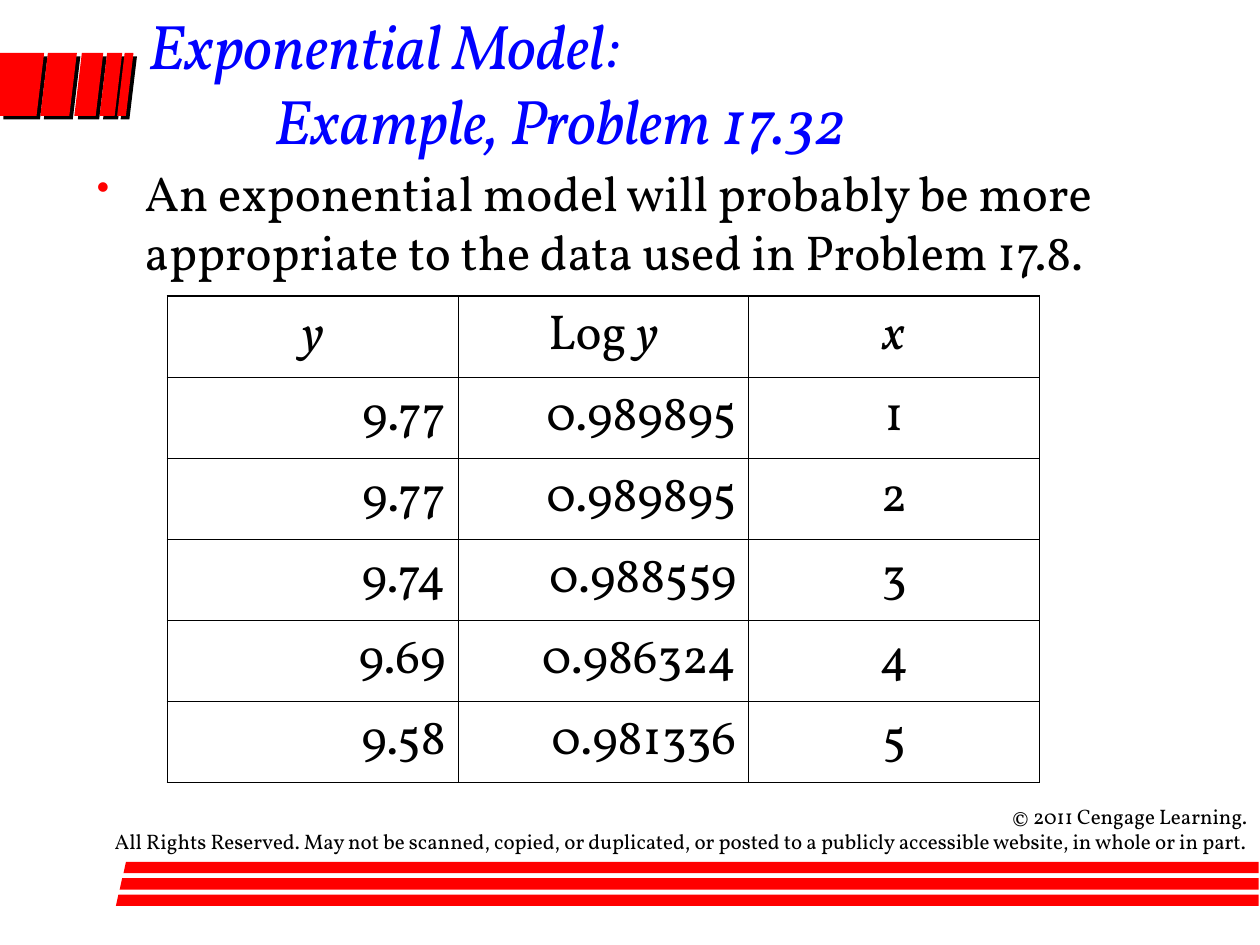
import dataclasses
import typing

import lxml.etree
import pptx
import pptx.dml.color
import pptx.enum.text
import pptx.oxml.ns
import pptx.util

COLUMNS, ROWS = 100, 75
ALIGN = pptx.enum.text.PP_ALIGN


@dataclasses.dataclass(frozen=True)
class Theme:
    font: str = "Vollkorn"
    accent: str = "FF0000"
    heading: str = "0000FF"
    ink: str = "000000"
    title_size: float = 36
    body_size: float = 28
    notice_size: float = 12
    outer_line: float = 1.08
    inner_line: float = 0.45
    shadow_offset: float = 2.8


class Box(typing.NamedTuple):
    left: float
    top: float
    width: float
    height: float


THEME = Theme()
WIDTH, HEIGHT = pptx.util.Inches(10), pptx.util.Inches(7.5)


def column(count):
    return round(WIDTH * count / COLUMNS)


def row(count):
    return round(HEIGHT * count / ROWS)


def place(box):
    return column(box.left), row(box.top), column(box.width), row(box.height)


def color(value):
    return pptx.dml.color.RGBColor.from_string(value)


def add_element(parent, tag, **attributes):
    element = lxml.etree.SubElement(parent, pptx.oxml.ns.qn(tag))
    for key, value in attributes.items():
        element.set(key, str(value))
    return element


def style(para, size, ink=THEME.ink, italic=False, align=ALIGN.LEFT):
    para.alignment = align
    para.font.name = THEME.font
    para.font.size = pptx.util.Pt(size)
    para.font.italic = italic
    para.font.color.rgb = color(ink)


def add_text_box(page, box):
    frame = page.shapes.add_textbox(*place(box)).text_frame
    frame.word_wrap = True
    return frame


def add_outline(page, points):
    corners = [(column(across), row(down)) for across, down in points]
    builder = page.shapes.build_freeform(*corners[0], scale=1)
    builder.add_line_segments(corners[1:], close=True)
    shape = builder.convert_to_shape()
    shape.shadow.inherit = False
    shape.fill.solid()
    shape.fill.fore_color.rgb = color(THEME.accent)
    shape.line.fill.background()
    return shape


def add_shadow(shape):
    effects = shape.element.spPr.find(pptx.oxml.ns.qn("a:effectLst"))
    shadow = add_element(effects, "a:outerShdw", blurRad=0,
                         dist=pptx.util.Pt(THEME.shadow_offset),
                         dir=45 * 60000, algn="ctr", rotWithShape=0)
    add_element(shadow, "a:srgbClr", val=THEME.ink)


def add_corner_bars(page, box):
    lean = 0.6
    bottom = box.top + box.height
    for start, end in [(0, 3.5), (3.8, 6.1), (6.5, 8.2), (8.5, 9.7), (9.9, 10.6)]:
        left, right = box.left + start, box.left + end
        bar = add_outline(page, [(left, box.top), (right, box.top),
                                 (right - lean, bottom),
                                 (max(box.left, left - lean), bottom)])
        add_shadow(bar)


def add_footer_stripes(page, box, count=3):
    thickness, step, lean = 0.9, 0.3, 0.2
    pitch = (box.height - thickness) / (count - 1)
    right = box.left + box.width
    for index in range(count):
        top = box.top + index * pitch
        left = box.left + (count - 1 - index) * step
        add_outline(page, [(left, top + thickness), (right, top + thickness),
                           (right, top), (left + lean, top)])


def add_title(page, box):
    para = add_text_box(page, box).paragraphs[0]
    para.text = "Exponential Model:\v\tExample, Problem 17.32"
    tabs = add_element(para._p.get_or_add_pPr(), "a:tabLst")
    add_element(tabs, "a:tab", pos=column(10), algn="l")
    style(para, THEME.title_size, THEME.heading, italic=True)


def add_body(page, box):
    para = add_text_box(page, box).paragraphs[0]
    para.text = ("An exponential model will probably be more appropriate "
                 "to the data used in Problem 17.8.")
    properties = para._p.get_or_add_pPr()
    properties.set("marL", str(column(3.8)))
    properties.set("indent", str(-column(3.8)))
    tint = add_element(properties, "a:buClr")
    add_element(tint, "a:srgbClr", val=THEME.accent)
    add_element(properties, "a:buSzPct", val=75000)
    add_element(properties, "a:buChar", char="•")
    style(para, THEME.body_size)


def add_borders(cell, outer_sides):
    properties = cell._tc.get_or_add_tcPr()
    for side in "LRTB":
        weight = THEME.outer_line if side in outer_sides else THEME.inner_line
        line = add_element(properties, f"a:ln{side}", w=pptx.util.Pt(weight))
        fill = add_element(line, "a:solidFill")
        add_element(fill, "a:srgbClr", val=THEME.ink)


def fill_cell(cell, spans, align):
    para = cell.text_frame.paragraphs[0]
    for text, italic in spans:
        span = para.add_run()
        span.text = text
        span.font.italic = italic
    style(para, THEME.body_size, align=align)


def add_data_table(page, box):
    headings = [[("y", True)], [("Log ", False), ("y", True)], [("x", True)]]
    records = [("9.77", "0.989895", "1"), ("9.77", "0.989895", "2"),
               ("9.74", "0.988559", "3"), ("9.69", "0.986324", "4"),
               ("9.58", "0.981336", "5")]
    lines = [headings] + [[[(value, False)] for value in record] for record in records]
    last_line, last_field = len(lines) - 1, len(headings) - 1
    table = page.shapes.add_table(len(lines), len(headings), *place(box)).table
    table.first_row = table.horz_banding = False
    for line_index, line in enumerate(lines):
        for field_index, spans in enumerate(line):
            cell = table.cell(line_index, field_index)
            centred = line_index == 0 or field_index == last_field
            fill_cell(cell, spans, ALIGN.CENTER if centred else ALIGN.RIGHT)
            edges = {"L": field_index == 0, "R": field_index == last_field,
                     "T": line_index == 0, "B": line_index == last_line}
            add_borders(cell, [side for side, outer in edges.items() if outer])
            cell.fill.background()


def add_notice(page, box):
    frame = add_text_box(page, box)
    frame.text = ("© 2011 Cengage Learning.\n"
                  "All Rights Reserved. May not be scanned, copied, or duplicated, "
                  "or posted to a publicly accessible website, in whole or in part.")
    for para in frame.paragraphs:
        style(para, THEME.notice_size, align=ALIGN.RIGHT)


def main():
    deck = pptx.Presentation()
    deck.slide_width, deck.slide_height = WIDTH, HEIGHT
    page = deck.slides.add_slide(deck.slide_layouts[6])
    add_corner_bars(page, Box(0, 4.2, 10.6, 5))
    add_footer_stripes(page, Box(9.2, 68.4, 90.7, 3.5))
    add_title(page, Box(10.8, 0, 85, 12.9))
    add_body(page, Box(6.7, 12.4, 89.2, 52.6))
    add_data_table(page, Box(13.3, 23.5, 69.2, 38.6))
    add_notice(page, Box(0, 63.3, 100, 7))
    deck.save("out.pptx")


if __name__ == "__main__":
    main()
